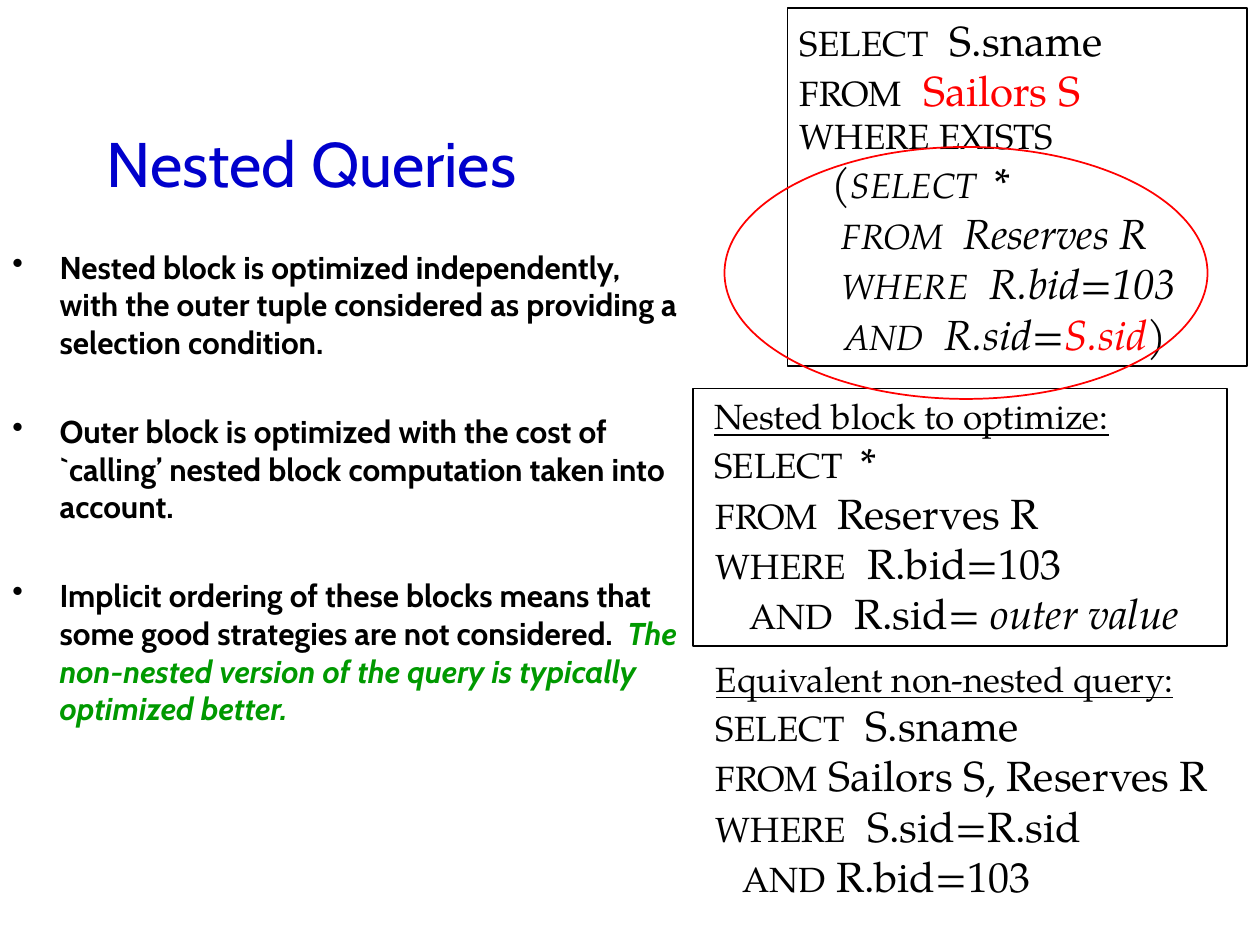
from lxml import etree
from pptx import Presentation
from pptx.dml.color import RGBColor
from pptx.enum import shapes, text
from pptx.oxml import ns
from pptx.util import Inches, Pt

COLORS = {"ink": "000000", "title": "0000CC", "accent": "009900", "outer": "FF0000"}
SANS, SERIF = "Cabin", "TeX Gyre Pagella"
KEYWORD, NAME = 20, 24  # sizes of SQL keywords and of names
COLUMNS, ROWS = 120, 90  # grid laid over the whole slide

deck = Presentation()
deck.slide_width, deck.slide_height = Inches(10), Inches(7.5)
page = deck.slides.add_slide(deck.slide_layouts[6])


def across(columns):
    return round(deck.slide_width * columns / COLUMNS)


def down(rows):
    return round(deck.slide_height * rows / ROWS)


def place(area):
    left, top, width, height = area
    return across(left), down(top), across(width), down(height)


def add_span(para, words, size, font=SERIF, color="ink", **style):
    span = para.add_run()
    span.text = words
    span.font.size = Pt(size)
    span.font.name = font
    span.font.color.rgb = RGBColor.from_string(COLORS[color])
    for name, value in style.items():
        setattr(span.font, name, value)


def add_para(frame, first, indent=0, hanging=0):
    para = frame.paragraphs[0] if first else frame.add_paragraph()
    para.alignment = text.PP_ALIGN.LEFT
    props = para._p.get_or_add_pPr()
    props.set("marL", str(across(indent)))
    props.set("indent", str(-across(hanging)))
    return para


def add_outline(kind, area, color):
    box = page.shapes.add_shape(kind, *place(area))
    box.shadow.inherit = False
    box.fill.background()
    box.line.color.rgb = RGBColor.from_string(COLORS[color])
    box.line.width = Pt(1)
    return box


def add_title(area, words):
    frame = page.shapes.add_textbox(*place(area)).text_frame
    frame.word_wrap = True
    frame.vertical_anchor = text.MSO_ANCHOR.MIDDLE
    add_span(add_para(frame, True), words, 36, SANS, "title")


def add_bullets(area, points):
    frame = page.shapes.add_textbox(*place(area)).text_frame
    frame.word_wrap = True
    for index, spans in enumerate(points):
        para = add_para(frame, index == 0, 4.5, 4.5)
        para.space_before = Pt(29 if index else 0)
        bullet = etree.SubElement(para._p.get_or_add_pPr(), ns.qn("a:buChar"))
        bullet.set("char", "•")
        for words, style in spans:
            add_span(para, words, 18, SANS, bold=True, **style)


def add_query(area, lines, framed=True):
    """Each line is an indent in columns, then spans of (words, size, style)."""
    if framed:
        box = add_outline(shapes.MSO_SHAPE.RECTANGLE, area, "ink")
    else:
        box = page.shapes.add_textbox(*place(area))
    frame = box.text_frame
    frame.word_wrap = True
    frame.vertical_anchor = text.MSO_ANCHOR.TOP
    frame.auto_size = text.MSO_AUTO_SIZE.SHAPE_TO_FIT_TEXT
    for index, (indent, *spans) in enumerate(lines):
        para = add_para(frame, index == 0, indent)
        for words, size, style in spans:
            add_span(para, words, size, **style)


def clause(indent, keyword, names, **style):
    return indent, (keyword, KEYWORD, style), (names, NAME, style)


def heading(indent, words):
    return indent, (words, KEYWORD, {"underline": True})


ITALIC = {"italic": True}

# Title and points on the left
add_title((9, 8, 102, 15), "Nested Queries")
add_bullets((0, 23, 66, 62), [
    [("Nested block is optimized independently, with the outer tuple "
      "considered as providing a selection condition.", {})],
    [("Outer block is optimized with the cost of `calling’ nested block "
      "computation taken into account.", {})],
    [("Implicit ordering of these blocks means that some good strategies "
      "are not considered.  ", {}),
     ("The non-nested version of the query is typically optimized better.",
      {"color": "accent", "italic": True})],
])

# Full query with its nested block
add_query((75, 0.75, 43.8, 34.1), [
    clause(0, "SELECT", "  S.sname"),
    (0, ("FROM", KEYWORD, {}), ("  ", NAME, {}), ("Sailors S", NAME, {"color": "outer"})),
    (0, ("WHERE EXISTS", KEYWORD, {})),
    (3, ("(", NAME, ITALIC), ("SELECT  ", KEYWORD, ITALIC), ("*", NAME, ITALIC)),
    clause(4, "FROM ", " Reserves R", italic=True),
    clause(4, "WHERE", "  R.bid=103", italic=True),
    clause(4.2, "AND", "  R.sid=", italic=True)
    + (("S.sid", NAME, {"color": "outer", "italic": True}), (")", NAME, ITALIC)),
])

# Nested block alone
add_query((66, 37, 50.9, 24.5), [
    heading(0.85, "Nested block to optimize:"),
    clause(0.85, "SELECT  ", "*"),
    clause(1, "FROM ", " Reserves R"),
    clause(1, "WHERE", "  R.bid=103"),
    clause(4.2, "AND", "  R.sid= ") + (("outer value", NAME, ITALIC),),
])

# Equivalent flat query
add_query((67, 62, 53, 24.4), [
    heading(0, "Equivalent non-nested query:"),
    clause(0, "SELECT", "  S.sname"),
    clause(0, "FROM", " Sailors S, Reserves R"),
    clause(0, "WHERE", "  S.sid=R.sid"),
    clause(2.5, "AND", " R.bid=103"),
], framed=False)

# Ring around the nested block
add_outline(shapes.MSO_SHAPE.OVAL, (69, 14, 46, 24), "outer")

deck.save("out.pptx")
